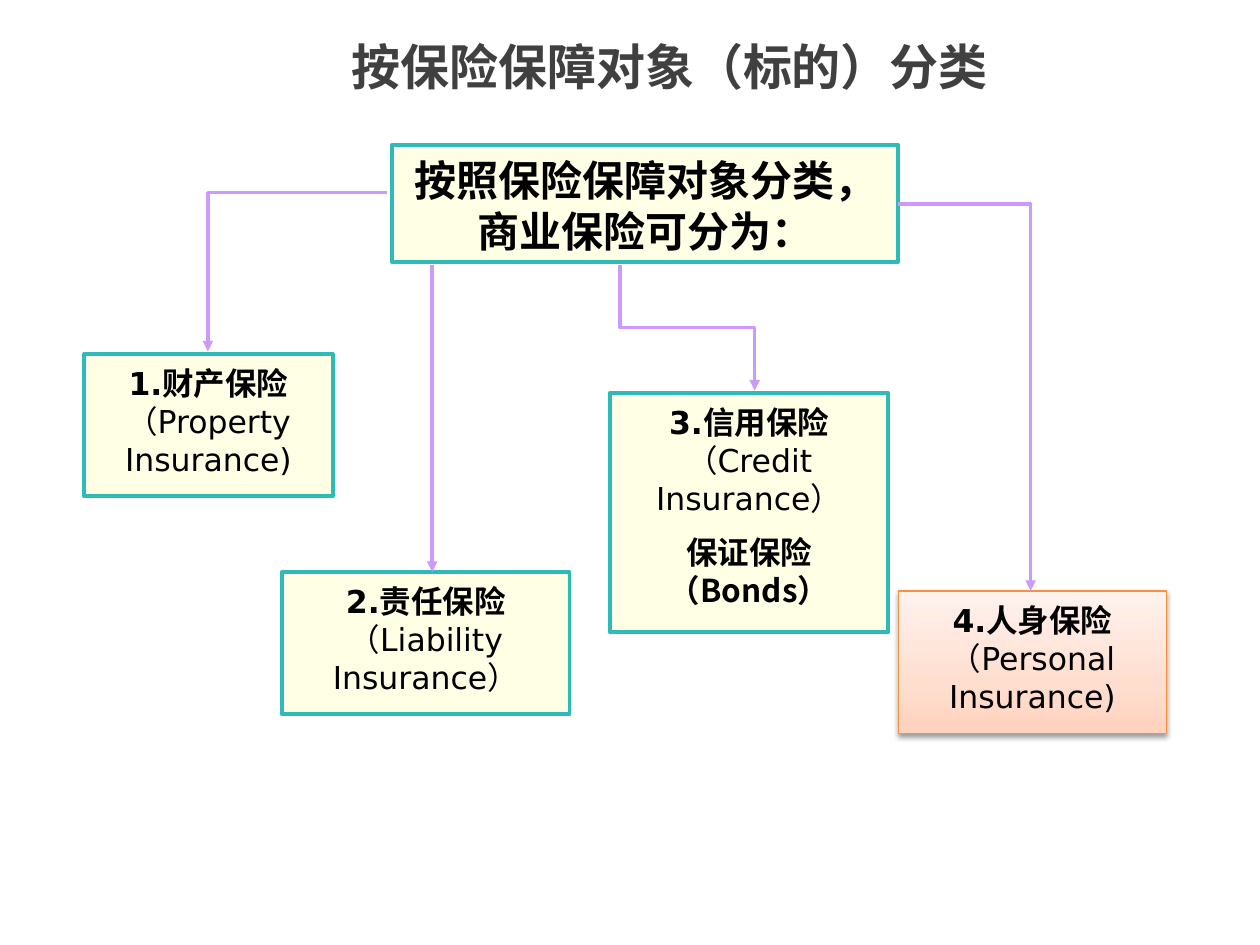
import copy

import lxml.etree
import pptx
import pptx.dml.color
import pptx.enum.shapes
import pptx.enum.text
import pptx.oxml
import pptx.oxml.ns
import pptx.util

Pt = pptx.util.Pt
qn = pptx.oxml.ns.qn

COLOURS = {"title": "404040", "text": "000000", "fill": "FFFFE5", "border": "2EBBB8",
           "accent": "F69240", "arrow": "CC99FF"}
GRADIENT = [(0, "FFD2BD"), (0.35, "FFDED0"), (1, "FFF2ED")]
LATIN, CJK = "DejaVu Sans", "Noto Sans CJK SC"
TITLE = ("按保险保障对象（标的）分类", (93.6, 20.88, 578.16, 62.64))
BOXES = [
    {"at": (223.92, 82.8, 289.44, 66.96), "size": 24,
     "paras": [[("按照保险保障对象分类，商业保险可分为：", True, LATIN)]]},
    {"at": (48.24, 202.32, 141.84, 81.36), "size": 18,
     "paras": [[("1.财产保险", True, LATIN), ("（Property Insurance)", False, LATIN)]]},
    {"at": (161.28, 326.88, 164.16, 81.36), "size": 18,
     "paras": [[("2.责任保险", True, LATIN), ("（Liability Insurance）", False, LATIN)]]},
    {"at": (348.48, 224.64, 159.12, 136.8), "size": 18,
     "paras": [[("3.信用保险", True, LATIN), ("（Credit Insurance）", False, LATIN)],
               [("保证保险（Bonds）", True, CJK)]]},
    {"at": (513.36, 337.68, 153.36, 81.36), "size": 18, "accent": True,
     "paras": [[("4.人身保险", True, LATIN), ("（Personal Insurance)", False, LATIN)]]},
]
ARROWS = [
    ("bentConnector2", (221.04, 110.16), (118.8, 200.88)),
    ("bentConnector3", (354.24, 151.2), (431.28, 223.2)),
    ("line", (246.96, 151.2), (246.96, 326.88)),
    ("bentConnector2", (513.36, 116.64), (588.96, 337.68)),
]


def rgb(name):
    return pptx.dml.color.RGBColor.from_string(COLOURS.get(name, name))


def format_span(span, size, bold, font, colour):
    span.font.size = Pt(size)
    span.font.bold = bold
    span.font.name = font
    span.font.color.rgb = rgb(colour)
    east_asian = lxml.etree.Element(qn("a:ea"), typeface=CJK)
    span.font._element.find(qn("a:latin")).addnext(east_asian)


def place(shape, at):
    shape.left, shape.top, shape.width, shape.height = map(Pt, at)


def add_title(page):
    text, at = TITLE
    place(page.shapes.title, at)
    frame = page.shapes.title.text_frame
    frame.text = text
    frame.margin_top = 0
    frame.vertical_anchor = pptx.enum.text.MSO_ANCHOR.TOP
    para = frame.paragraphs[0]
    para.alignment = pptx.enum.text.PP_ALIGN.CENTER
    format_span(para.runs[0], 28, True, CJK, "title")


def shade(box):
    box.fill.gradient()
    box.fill.gradient_angle = 90
    stops = box._element.spPr.find(qn("a:gradFill")).find(qn("a:gsLst"))
    stops.append(copy.deepcopy(stops[-1]))
    for stop, (position, colour) in zip(box.fill.gradient_stops, GRADIENT):
        stop.position = position
        stop.color.rgb = rgb(colour)
    effects = box._element.spPr.find(qn("a:effectLst"))
    shadow = lxml.etree.SubElement(effects, qn("a:outerShdw"), blurRad=str(Pt(3.1)),
                                   dist=str(Pt(1.6)), dir="5400000", rotWithShape="0")
    colour = lxml.etree.SubElement(shadow, qn("a:srgbClr"), val="000000")
    lxml.etree.SubElement(colour, qn("a:alpha"), val="38000")


def add_box(page, item):
    box = page.shapes.add_shape(pptx.enum.shapes.MSO_SHAPE.RECTANGLE, *map(Pt, item["at"]))
    box.shadow.inherit = False
    accent = item.get("accent", False)
    if accent:
        shade(box)
    else:
        box.fill.solid()
        box.fill.fore_color.rgb = rgb("fill")
    box.line.color.rgb = rgb("accent" if accent else "border")
    box.line.width = Pt(0.75 if accent else 2.25)
    frame = box.text_frame
    frame.word_wrap = True
    frame.margin_top = Pt(5.5)
    frame.vertical_anchor = pptx.enum.text.MSO_ANCHOR.TOP
    for index, spans in enumerate(item["paras"]):
        para = frame.add_paragraph() if index else frame.paragraphs[0]
        para.alignment = pptx.enum.text.PP_ALIGN.CENTER
        para.line_spacing = Pt(round(item["size"] * 1.21, 1))
        para.space_before = Pt(item["size"] / 2 if index else 0)
        for text, bold, font in spans:
            span = para.add_run()
            span.text = text
            format_span(span, item["size"], bold, font, "text")


def add_arrow(page, preset, start, end):
    kinds = pptx.enum.shapes.MSO_CONNECTOR
    kind = kinds.STRAIGHT if preset == "line" else kinds.ELBOW
    upright = preset == "bentConnector3"
    if upright:
        middle_x, middle_y = (start[0] + end[0]) / 2, (start[1] + end[1]) / 2
        across, down = (end[0] - start[0]) / 2, (end[1] - start[1]) / 2
        start = (middle_x + down, middle_y - across)
        end = (middle_x - down, middle_y + across)
    arrow = page.shapes.add_connector(kind, *map(Pt, start + end))
    properties = arrow._element.spPr
    properties.find(qn("a:prstGeom")).set("prst", preset)
    if upright:
        properties.find(qn("a:xfrm")).set("rot", "16200000")
    arrow.line.color.rgb = rgb("arrow")
    arrow.line.width = Pt(2)
    lxml.etree.SubElement(properties.find(qn("a:ln")), qn("a:tailEnd"), type="triangle")
    lxml.etree.SubElement(properties, qn("a:effectLst"))


def main():
    """Build the slide that classifies insurance by what it protects."""
    deck = pptx.Presentation()
    deck.slide_width, deck.slide_height = Pt(720), Pt(540)
    page = deck.slides.add_slide(deck.slide_layouts[5])
    add_title(page)
    for item in BOXES:
        add_box(page, item)
    for preset, start, end in ARROWS:
        add_arrow(page, preset, start, end)
    deck.save("out.pptx")


if __name__ == "__main__":
    main()
